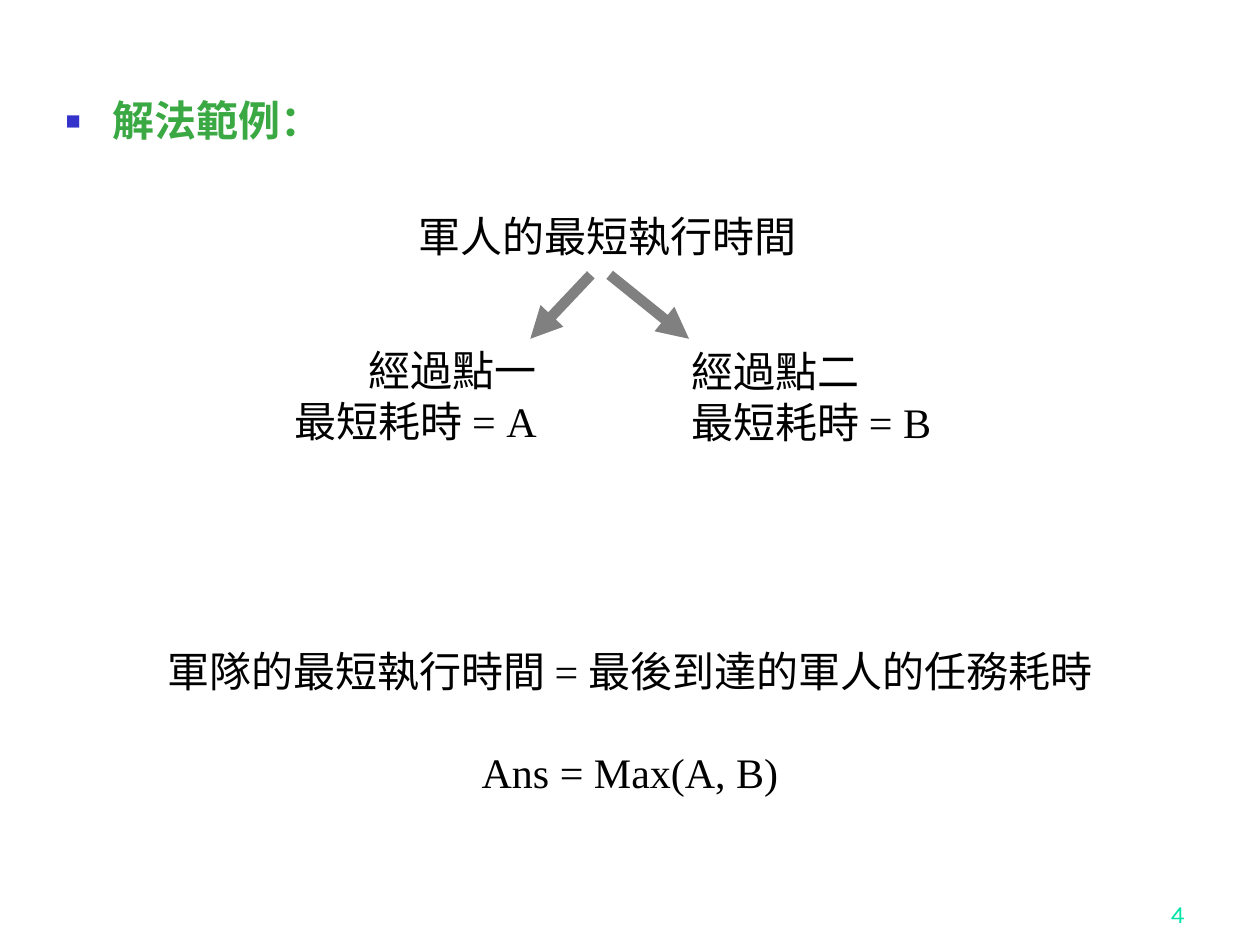
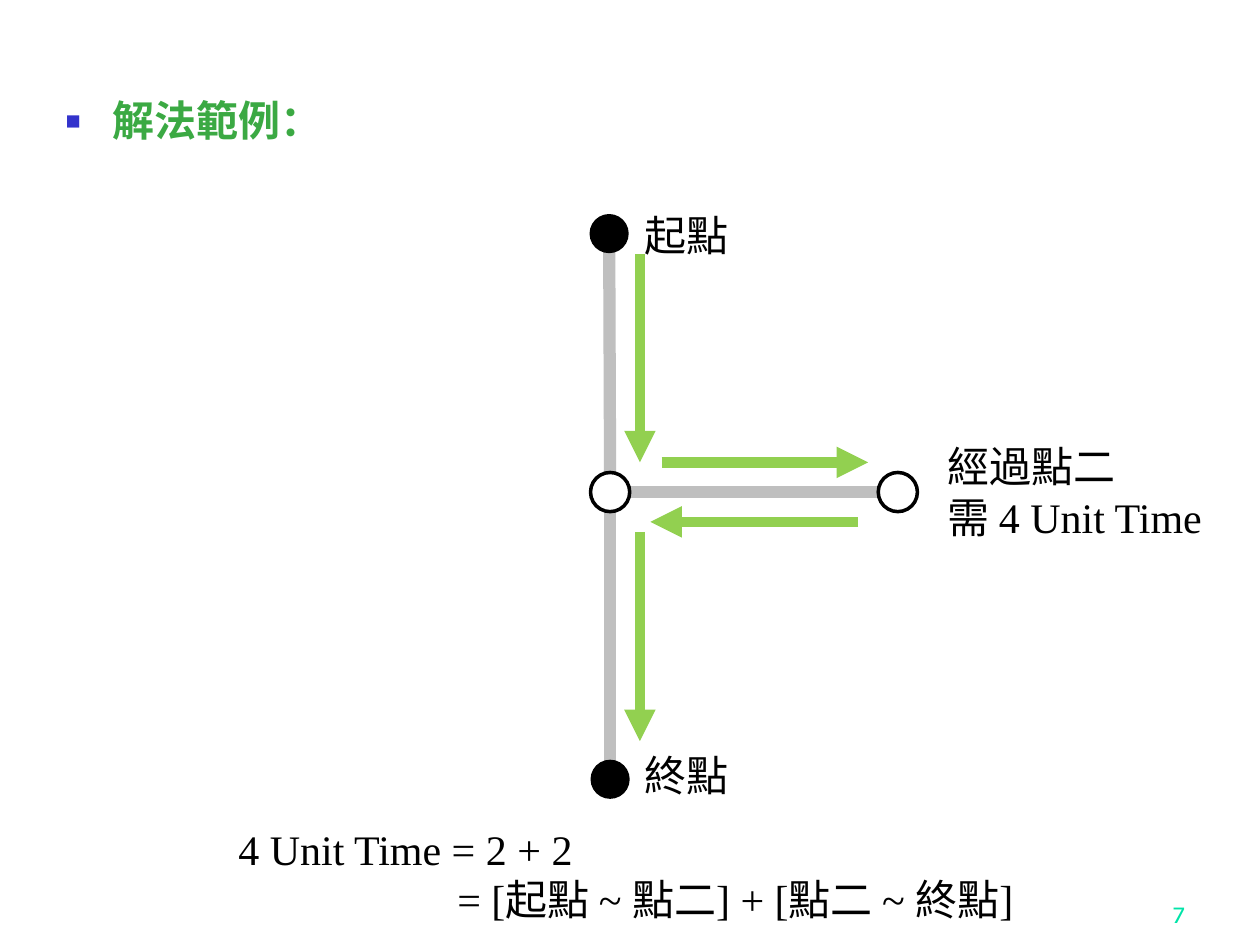
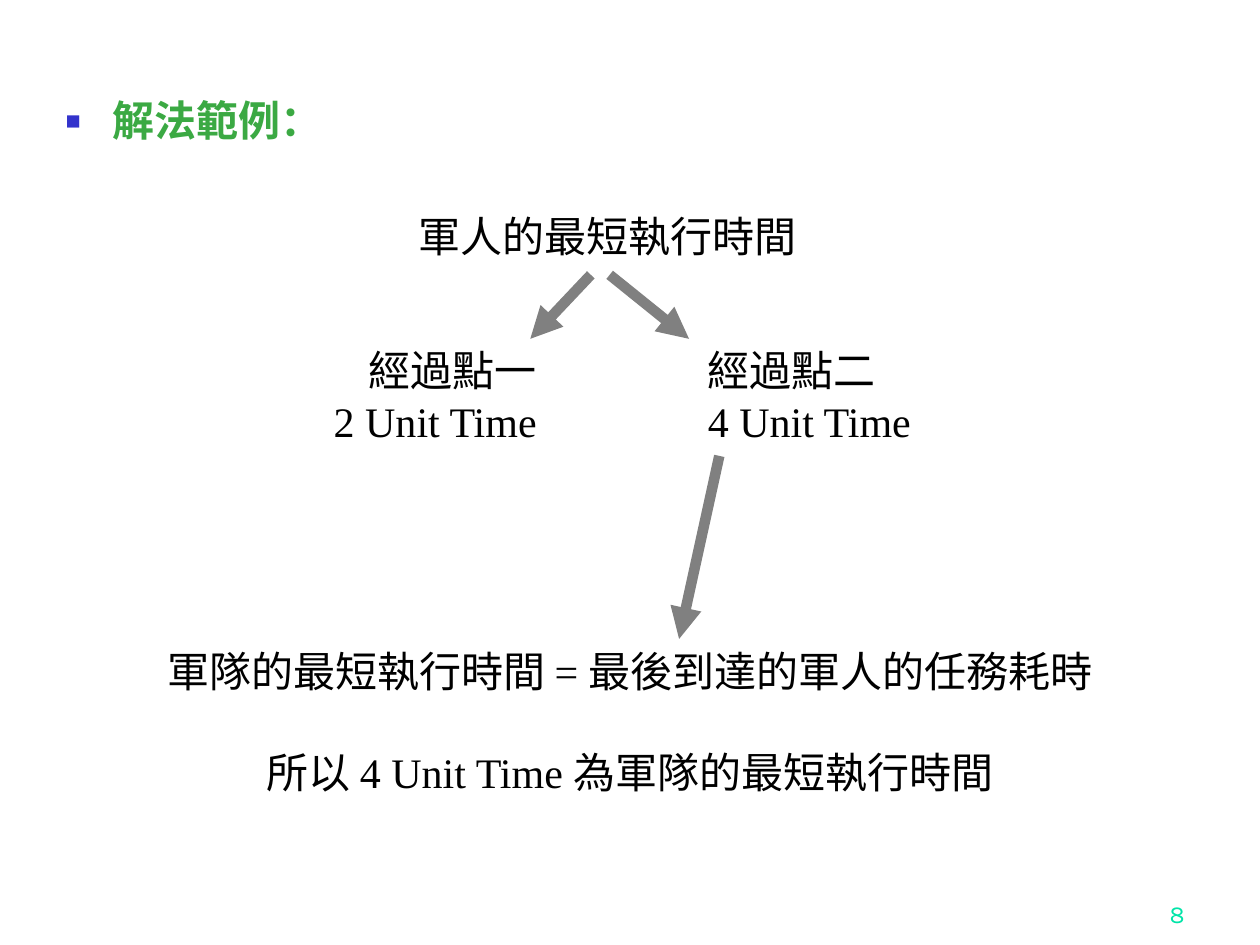
from dataclasses import dataclass

import pptx
import pptx.util
from lxml import etree
from pptx.dml.color import RGBColor
from pptx.enum.shapes import MSO_CONNECTOR, MSO_SHAPE
from pptx.enum.text import MSO_ANCHOR, MSO_AUTO_SIZE, PP_ALIGN
from pptx.oxml.ns import qn
from pptx.util import Cm, Pt

COLORS = {
    "title": "3BA943", "bullet": "3333CC", "number": "00E4A8", "text": "000000",
    "branch": "808080", "road": "BFBFBF", "route": "92D050", "white": "FFFFFF",
}
SERIF, SANS, NUMBER_FONT = "Times New Roman", "Noto Sans CJK SC", "Karla"
LEFT, CENTER, RIGHT = PP_ALIGN.LEFT, PP_ALIGN.CENTER, PP_ALIGN.RIGHT
TEXT_SIZE = 24
LINE_GAP = 29
NODE_SIZE = 0.79
Point = tuple[float, float]


@dataclass
class Label:
    """A text box; lengths in centimetres, paragraph gap in points."""
    text: str
    left: float
    top: float
    width: float
    height: float = 1.27
    align: PP_ALIGN = LEFT
    gap: float = 0
    font: str = SERIF
    size: float = TEXT_SIZE
    color: str = "text"
    anchor: MSO_ANCHOR = MSO_ANCHOR.TOP


@dataclass
class Line:
    start: Point
    end: Point
    color: str
    width: float = 6
    arrow: bool = True


@dataclass
class Node:
    center: Point
    filled: bool


def rgb(name: str) -> RGBColor:
    return RGBColor.from_string(COLORS[name])


def set_font(font, name: str, size: float, color: str) -> None:
    font.name, font.size = name, Pt(size)
    font.color.rgb = rgb(color)


def add_label(s, label: Label) -> None:
    box = s.shapes.add_textbox(Cm(label.left), Cm(label.top), Cm(label.width), Cm(label.height))
    tf = box.text_frame
    tf.word_wrap = True
    tf.vertical_anchor = label.anchor
    tf.text = label.text
    for i, p in enumerate(tf.paragraphs):
        p.alignment = label.align
        if i and label.gap:
            p.space_before = Pt(label.gap)
        for r in p.runs:
            set_font(r.font, label.font, label.size, label.color)


def add_line(s, line: Line) -> None:
    ends = [Cm(v) for v in (*line.start, *line.end)]
    c = s.shapes.add_connector(MSO_CONNECTOR.STRAIGHT, *ends)
    c.line.color.rgb = rgb(line.color)
    c.line.width = Pt(line.width)
    if line.arrow:
        etree.SubElement(c.line._get_or_add_ln(), qn("a:tailEnd"), type="triangle")
    etree.SubElement(c._element.spPr, qn("a:effectLst"))


def add_node(s, node: Node) -> None:
    x, y = node.center
    sp = s.shapes.add_shape(MSO_SHAPE.OVAL, Cm(x - NODE_SIZE / 2), Cm(y - NODE_SIZE / 2),
                            Cm(NODE_SIZE), Cm(NODE_SIZE))
    sp.shadow.inherit = False
    sp.fill.solid()
    sp.fill.fore_color.rgb = rgb("text" if node.filled else "white")
    if node.filled:
        sp.line.fill.background()
    else:
        sp.line.color.rgb = rgb("text")
        sp.line.width = Pt(2)


def add_heading(s) -> None:
    """Fill the body placeholder with the bulleted heading."""
    sp = s.placeholders[1]
    sp.left, sp.top, sp.width, sp.height = Cm(1.07), Cm(1.9), Cm(22.43), Cm(1.27)
    tf = sp.text_frame
    tf.auto_size = MSO_AUTO_SIZE.NONE
    tf.text = "解法範例："
    p = tf.paragraphs[0]
    p.line_spacing, p.space_before = 0.9, Pt(0)
    pPr = p._p.get_or_add_pPr()
    pPr.set("marL", str(Cm(0.95)))
    pPr.set("indent", str(-Cm(0.95)))
    color = etree.SubElement(pPr, qn("a:buClr"))
    etree.SubElement(color, qn("a:srgbClr"), val=COLORS["bullet"])
    etree.SubElement(pPr, qn("a:buSzPct"), val="60000")
    etree.SubElement(pPr, qn("a:buChar"), char="■")
    font = p.runs[0].font
    set_font(font, SERIF, TEXT_SIZE, "title")
    font.bold = True


def new_slide(prs, number: str):
    s = prs.slides.add_slide(prs.slide_layouts[1])
    title = s.shapes.title._element
    title.getparent().remove(title)
    add_heading(s)
    add_label(s, Label(number, 18.85, 17.58, 5.28, align=RIGHT, font=NUMBER_FONT,
                       size=14, color="number", anchor=MSO_ANCHOR.BOTTOM))
    return s


def add_branch_slide(prs, number: str, first: str, second: Label, answer: str):
    """Split the soldiers' time over two points and conclude for the army."""
    s = new_slide(prs, number)
    for label in (
        Label(f"軍隊的最短執行時間 = 最後到達的軍人的任務耗時\n{answer}",
              2.31, 12.88, 20.78, 3.33, CENTER, LINE_GAP),
        second,
        Label(f"經過點一\n{first}", 5.28, 6.83, 5.79, 2.31, RIGHT),
        Label("軍人的最短執行時間", 8.18, 4.11, 14),
    ):
        add_label(s, label)
    add_line(s, Line((11.91, 5.54), (10.69, 6.83), "branch"))
    add_line(s, Line((12.29, 5.54), (13.89, 6.83), "branch"))
    return s


def add_route_slide(prs, number: str) -> None:
    s = new_slide(prs, number)
    start, junction = Node((12.28, 4.71), True), Node((12.3, 9.92), False)
    point_two, end = Node((18.1, 9.92), False), Node((12.3, 15.71), True)
    for node in (point_two, end, start):
        add_line(s, Line(node.center, junction.center, "road", 7, arrow=False))
    for node in (start, end, junction, point_two):
        add_node(s, node)
    for begin, finish in (
        ((12.9, 5.13), (12.9, 9.32)),
        ((12.9, 10.72), (12.9, 14.94)),
        ((13.34, 9.32), (17.5, 9.32)),
        ((17.3, 10.52), (13.11, 10.52)),
    ):
        add_line(s, Line(begin, finish, "route"))
    for label in (
        Label("起點", 12.75, 4.09, 3.2, font=SANS),
        Label("終點", 12.75, 14.99, 3.2, font=SANS),
        Label("經過點二\n需 4 Unit Time", 18.85, 8.76, 5.79, 2.31),
        Label("4 Unit Time = 2 + 2", 2.69, 16.48, 10.97, align=CENTER),
        Label("= [起點 ~ 點二] + [點二 ~ 終點]", 5.11, 17.48, 19.43, align=CENTER),
    ):
        add_label(s, label)


def main() -> None:
    prs = pptx.Presentation()
    prs.slide_width, prs.slide_height = Cm(25.4), Cm(19.05)
    add_branch_slide(prs, "4", "最短耗時 = A",
                     Label("經過點二\n最短耗時 = B", 13.69, 6.85, 6.1, 2.31),
                     "Ans = Max(A, B)")
    add_route_slide(prs, "7")
    s = add_branch_slide(prs, "8", "2 Unit Time",
                         Label("經過點二\n4 Unit Time", 14.02, 6.83, 4.75, 2.31),
                         "所以 4 Unit Time 為軍隊的最短執行時間")
    add_line(s, Line((14.5, 9.19), (13.69, 12.88), "branch"))
    prs.save("out.pptx")


if __name__ == "__main__":
    main()
